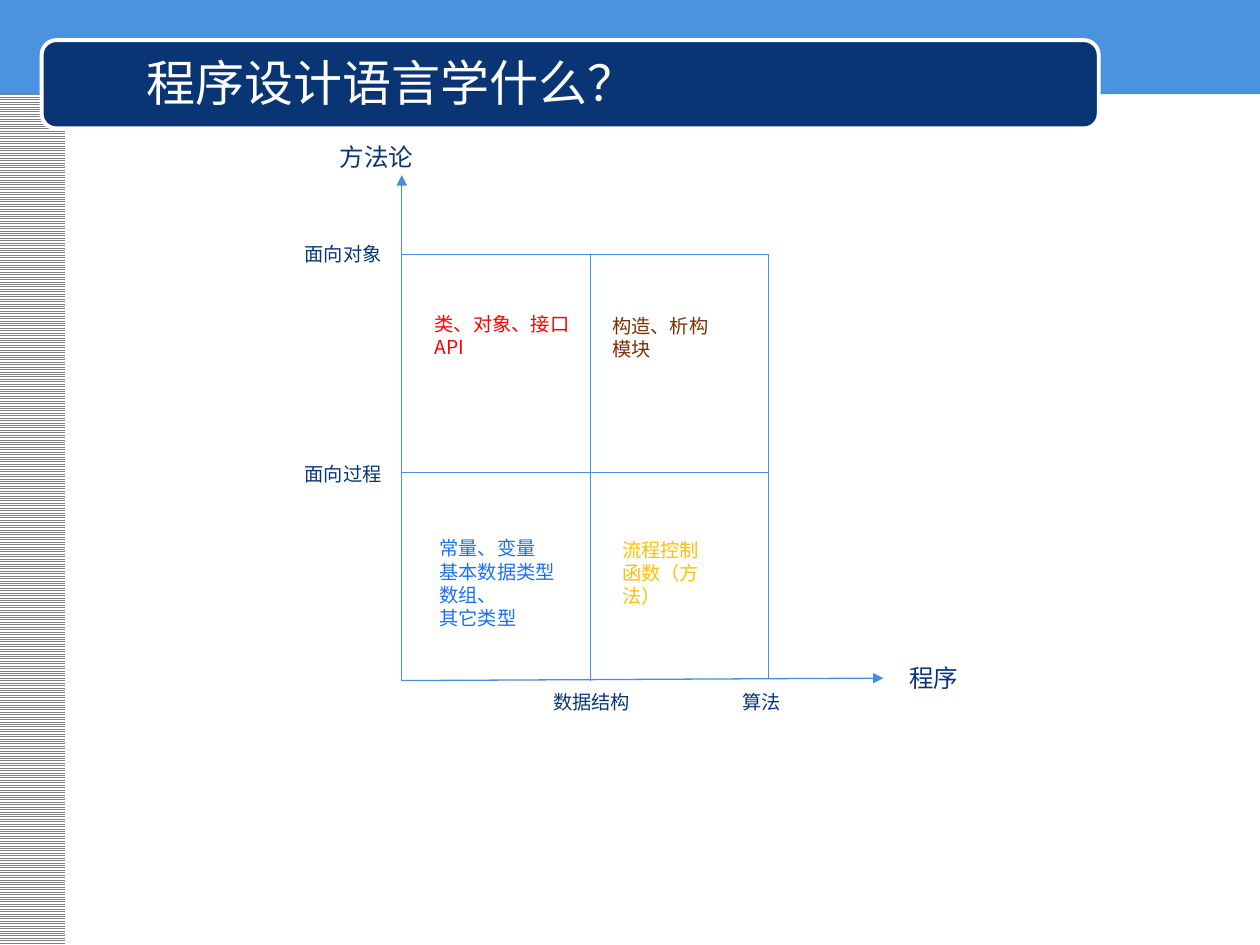
"""Build a slide that maps programming topics on method and program axes."""
from dataclasses import dataclass

import pptx
import pptx.dml.color
import pptx.enum.dml
import pptx.enum.shapes
import pptx.enum.text
import pptx.oxml
import pptx.oxml.ns
import pptx.util
from pptx.util import Cm

FONT = "Noto Sans CJK SC"
NAVY, SKY, AXIS, WHITE = "093575", "4B92E1", "468FE0", "FFFFFF"
LINE_HEIGHT = 1.21
LEFT, MIDDLE, RIGHT = 8.1, 11.91, 15.49
TOP, CENTRE, BOTTOM, AXIS_END = 5.13, 9.53, 13.72, 13.67


@dataclass
class Label:
    lines: list[str]
    left: float
    top: float
    width: float
    height: float
    color: str = NAVY
    size: float = 11


@dataclass
class Line:
    start: tuple[float, float]
    end: tuple[float, float]
    arrow: bool = False


LINES = [
    Line((LEFT, BOTTOM), (LEFT, 3.53), arrow=True),
    Line((LEFT, BOTTOM), (17.81, AXIS_END), arrow=True),
    Line((LEFT, CENTRE), (RIGHT, CENTRE)),
    Line((LEFT, TOP), (RIGHT, TOP)),
    Line((MIDDLE, TOP), (MIDDLE, BOTTOM)),
    Line((RIGHT, TOP), (RIGHT, AXIS_END)),
]

TITLE = Label(["程序设计语言学什么？"], 1.9, 0.91, 11.99, 1.47, WHITE, 28)

LABELS = [
    Label(["面向对象"], 5.89, 4.75, 2.21, 0.74),
    Label(["面向过程"], 5.89, 9.19, 2.21, 0.74),
    Label(["数据结构"], 10.9, 13.79, 2.21, 0.74),
    Label(["算法"], 14.71, 13.79, 2.21, 0.74),
    Label(["常量、变量", "基本数据类型", "数组、", "其它类型"], 8.61, 10.69, 3.1, 2.13, "1A72F1"),
    Label(["流程控制", "函数（方法）"], 12.29, 10.72, 2.79, 1.68, "FFC000"),
    Label(["类、对象、接口", "API"], 8.51, 6.17, 3.4, 1.68, "FF0000"),
    Label(["构造、析构", "模块"], 12.09, 6.2, 2.79, 1.68, "7A3104"),
    Label(["方法论"], 6.6, 2.74, 2.11, 0.86, size=14),
    Label(["程序"], 18.08, 13.23, 1.6, 0.86, size=14),
]


def rgb(color: str) -> pptx.dml.color.RGBColor:
    """Turn a hex string into a colour."""
    return pptx.dml.color.RGBColor.from_string(color)


def add_band(slide, kind, left: float, top: float, width: float, height: float, color: str):
    """Add a filled shape without outline or shadow."""
    band = slide.shapes.add_shape(kind, Cm(left), Cm(top), Cm(width), Cm(height))
    band.shadow.inherit = False
    band.fill.solid()
    band.fill.fore_color.rgb = rgb(color)
    band.line.fill.background()
    return band


def add_line(slide, line: Line) -> None:
    """Add a thin line, with an arrowhead at its end if asked for."""
    connector = slide.shapes.add_connector(
        pptx.enum.shapes.MSO_CONNECTOR.STRAIGHT, *map(Cm, line.start + line.end)
    )
    connector.line.color.rgb = rgb(AXIS)
    connector.line.width = pptx.util.Pt(0.75)
    if line.arrow:
        head = pptx.oxml.parse_xml(f'<a:tailEnd {pptx.oxml.ns.nsdecls("a")} type="triangle"/>')
        connector.line._get_or_add_ln().append(head)
    effects = pptx.oxml.parse_xml(f'<a:effectLst {pptx.oxml.ns.nsdecls("a")}/>')
    connector._element.spPr.append(effects)


def write_label(box, label: Label) -> None:
    """Write the lines of a label as formatted paragraphs."""
    frame = box.text_frame
    frame.word_wrap = True
    frame.text = "\n".join(label.lines)
    for para in frame.paragraphs:
        para.line_spacing = pptx.util.Pt(round(label.size * LINE_HEIGHT, 1))
        para.font.size = pptx.util.Pt(label.size)
        para.font.color.rgb = rgb(label.color)
        para.font.name = FONT
        asian = pptx.oxml.parse_xml(
            f'<a:ea {pptx.oxml.ns.nsdecls("a")} typeface="{FONT}"/>'
        )
        para._p.pPr.find(pptx.oxml.ns.qn("a:defRPr")).append(asian)


def add_label(slide, label: Label) -> None:
    """Add a text box for a label."""
    box = slide.shapes.add_textbox(
        Cm(label.left), Cm(label.top), Cm(label.width), Cm(label.height)
    )
    write_label(box, label)
    box.text_frame.auto_size = pptx.enum.text.MSO_AUTO_SIZE.SHAPE_TO_FIT_TEXT


def place_title(slide, label: Label) -> None:
    """Move the title placeholder to the front and format it."""
    title = slide.shapes.title
    slide.shapes._spTree.append(title._element)
    title.left, title.top = Cm(label.left), Cm(label.top)
    title.width, title.height = Cm(label.width), Cm(label.height)
    write_label(title, label)
    title.text_frame.auto_size = pptx.enum.text.MSO_AUTO_SIZE.NONE
    title.text_frame.vertical_anchor = pptx.enum.text.MSO_ANCHOR.MIDDLE
    title.text_frame.paragraphs[0].alignment = pptx.enum.text.PP_ALIGN.CENTER


def add_backdrop(slide) -> None:
    """Add the striped side band, the top band and the title plate."""
    kinds = pptx.enum.shapes.MSO_SHAPE
    stripes = add_band(slide, kinds.RECTANGLE, -0.03, 0, 1.35, 19.05, WHITE)
    stripes.fill.patterned()
    stripes.fill.pattern = pptx.enum.dml.MSO_PATTERN.LIGHT_HORIZONTAL
    stripes.fill.fore_color.rgb = rgb("808080")
    stripes.fill.back_color.rgb = rgb(WHITE)
    add_band(slide, kinds.RECTANGLE, 0, 0, 25.43, 1.9, SKY)
    plate = add_band(slide, kinds.ROUNDED_RECTANGLE, 0.84, 0.81, 21.31, 1.78, NAVY)
    plate.line.color.rgb = rgb(WHITE)
    plate.line.width = pptx.util.Pt(2.25)


def main() -> None:
    """Build and save the deck."""
    deck = pptx.Presentation()
    deck.slide_width, deck.slide_height = Cm(25.4), Cm(19.05)
    page = deck.slides.add_slide(deck.slide_layouts.get_by_name("Title Only"))
    add_backdrop(page)
    place_title(page, TITLE)
    for line in LINES:
        add_line(page, line)
    for label in LABELS:
        add_label(page, label)
    deck.save("out.pptx")


if __name__ == "__main__":
    main()
